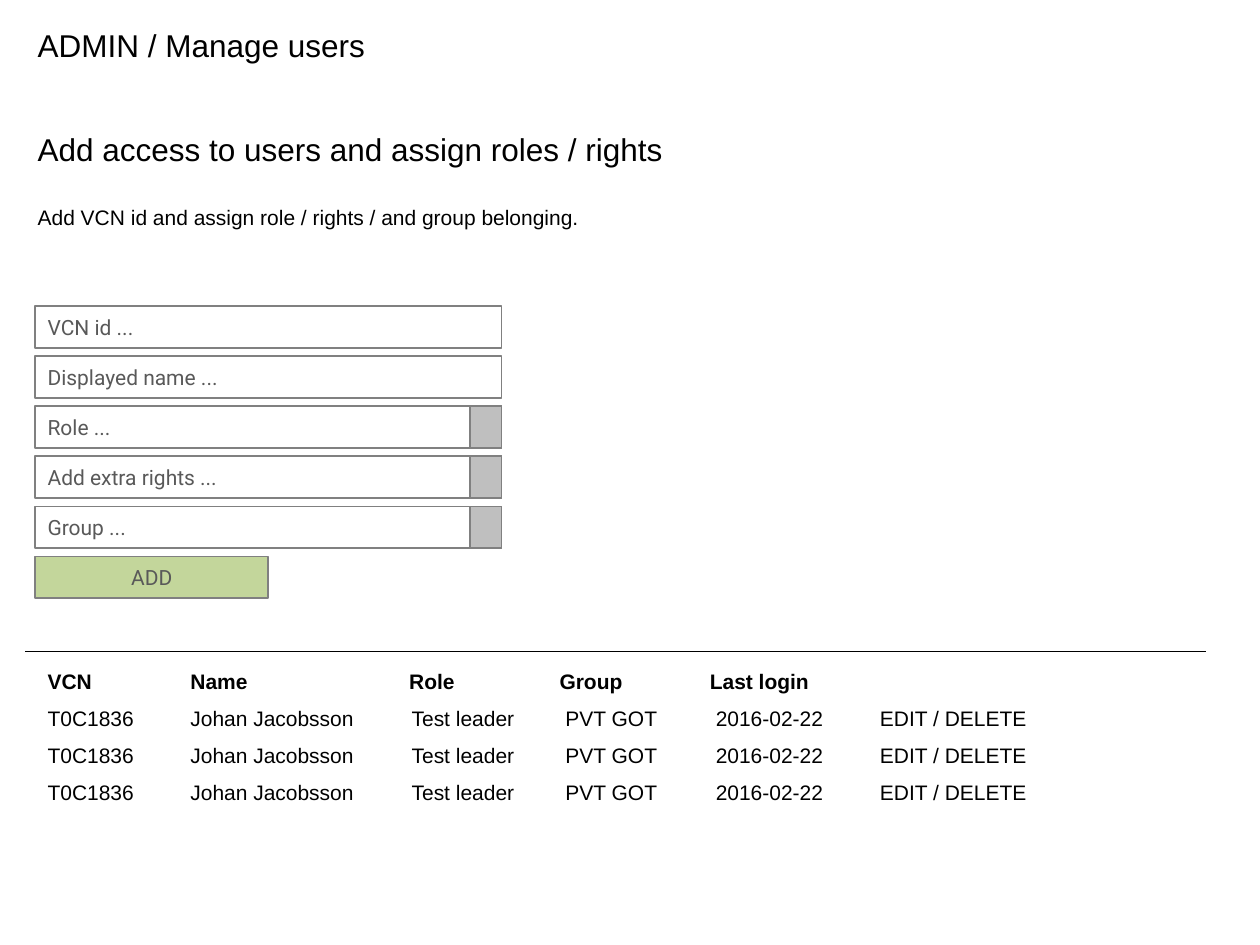
import pptx
import pptx.dml.color
import pptx.enum.shapes
import pptx.enum.text
import pptx.oxml.ns
import pptx.util
from lxml import etree
from pptx.util import Cm

COLORS = {
    "text": "000000",
    "hint": "595959",
    "outline": "808080",
    "field": "FFFFFF",
    "dropdown": "BFBFBF",
    "button": "C3D69B",
}

PAGE_TITLE = "ADMIN / Manage users"
SECTION_TITLE = "Add access to users and assign roles / rights"
INSTRUCTION = "Add VCN id and assign role / rights / and group belonging."

# Label, has a dropdown button
FIELDS = [
    ("VCN id ...", False),
    ("Displayed name ...", False),
    ("Role ...", True),
    ("Add extra rights ...", True),
    ("Group ...", True),
]
ADD_LABEL = "ADD"

USER_HEADER = ["VCN", "Name", "Role", "Group", "Last login"]
USER = ["T0C1836", "Johan Jacobsson", "Test leader", "PVT GOT", "2016-02-22", "EDIT / DELETE"]
USERS = [USER] * 3

# Column starts in cm, measured from the row's text edge
HEADER_STOPS = [2.88, 7.29, 10.32, 13.35]
USER_STOPS = [2.88, 7.34, 10.44, 13.47, 16.78]

TEXT_LEFT, FORM_LEFT = 0.51, 0.71
FIELD_TOP, FIELD_PITCH, FIELD_HEIGHT = 6.17, 1.01, 0.84
FIELD_WIDTH, DROPDOWN_WIDTH = 9.4, 0.64
DIVIDER_TOP, DIVIDER_RIGHT = 13.13, 24.31
LIST_TOP, ROW_PITCH, ROW_WIDTH, ROW_HEIGHT = 13.36, 0.74, 23.39, 0.76


def rgb(name):
    return pptx.dml.color.RGBColor.from_string(COLORS[name])


def set_font(paragraph, size, color="text", face="Arial", bold=False):
    font = paragraph.font
    font.size = pptx.util.Pt(size)
    font.name = face
    font.bold = bold
    font.color.rgb = rgb(color)


def add_text(left, top, width, height):
    frame = slide.shapes.add_textbox(Cm(left), Cm(top), Cm(width), Cm(height)).text_frame
    frame.word_wrap = True
    return frame


def add_control(left, top, width, fill, label="", centred=False):
    """Draw one outlined form rectangle with an optional label."""
    control = slide.shapes.add_shape(
        pptx.enum.shapes.MSO_SHAPE.RECTANGLE,
        Cm(left), Cm(top), Cm(width), Cm(FIELD_HEIGHT))
    control.shadow.inherit = False
    control.fill.solid()
    control.fill.fore_color.rgb = rgb(fill)
    control.line.color.rgb = rgb("outline")
    control.line.width = pptx.util.Pt(1)
    if label:
        frame = control.text_frame
        frame.vertical_anchor = pptx.enum.text.MSO_ANCHOR.MIDDLE
        paragraph = frame.paragraphs[0]
        paragraph.text = label
        align = pptx.enum.text.PP_ALIGN
        paragraph.alignment = align.CENTER if centred else align.LEFT
        set_font(paragraph, 12, "hint", "Roboto")


def add_row(index, cells, stops, bold=False):
    """Write one line of the user list, its cells set on tab stops."""
    frame = add_text(FORM_LEFT, LIST_TOP + index * ROW_PITCH, ROW_WIDTH, ROW_HEIGHT)
    paragraph = frame.paragraphs[0]
    paragraph.text = "\t".join(cells)
    qn = pptx.oxml.ns.qn
    tabs = etree.SubElement(paragraph._p.get_or_add_pPr(), qn("a:tabLst"))
    for stop in stops:
        etree.SubElement(tabs, qn("a:tab"), pos=str(int(Cm(stop))), algn="l")
    set_font(paragraph, 12, bold=bold)


presentation = pptx.Presentation()
presentation.slide_width = Cm(25.4)
presentation.slide_height = Cm(19.05)
slide = presentation.slides.add_slide(presentation.slide_layouts[6])

page_title = add_text(TEXT_LEFT, 0.41, 11.99, 1.03).paragraphs[0]
page_title.text = PAGE_TITLE
set_font(page_title, 18)

intro = add_text(TEXT_LEFT, 2.49, 24.21, 2.31)
section_title = intro.paragraphs[0]
section_title.text = SECTION_TITLE
set_font(section_title, 18)
instruction = intro.add_paragraph()
instruction.text = INSTRUCTION
instruction.space_before = pptx.util.Pt(21)
set_font(instruction, 12)

for index, (label, has_dropdown) in enumerate(FIELDS):
    top = FIELD_TOP + index * FIELD_PITCH
    add_control(FORM_LEFT, top, FIELD_WIDTH, "field", label)
    if has_dropdown:
        dropdown_left = FORM_LEFT + FIELD_WIDTH - DROPDOWN_WIDTH
        add_control(dropdown_left, top, DROPDOWN_WIDTH, "dropdown")
add_control(FORM_LEFT, FIELD_TOP + len(FIELDS) * FIELD_PITCH, FIELD_WIDTH / 2,
            "button", ADD_LABEL, centred=True)

divider = slide.shapes.add_connector(
    pptx.enum.shapes.MSO_CONNECTOR.STRAIGHT,
    Cm(TEXT_LEFT), Cm(DIVIDER_TOP), Cm(DIVIDER_RIGHT), Cm(DIVIDER_TOP))
divider.line.color.rgb = rgb("text")
divider.line.width = pptx.util.Pt(0.75)
etree.SubElement(divider._element.spPr, pptx.oxml.ns.qn("a:effectLst"))

add_row(0, USER_HEADER, HEADER_STOPS, bold=True)
for index, user in enumerate(USERS, start=1):
    add_row(index, user, USER_STOPS)

presentation.save("out.pptx")
